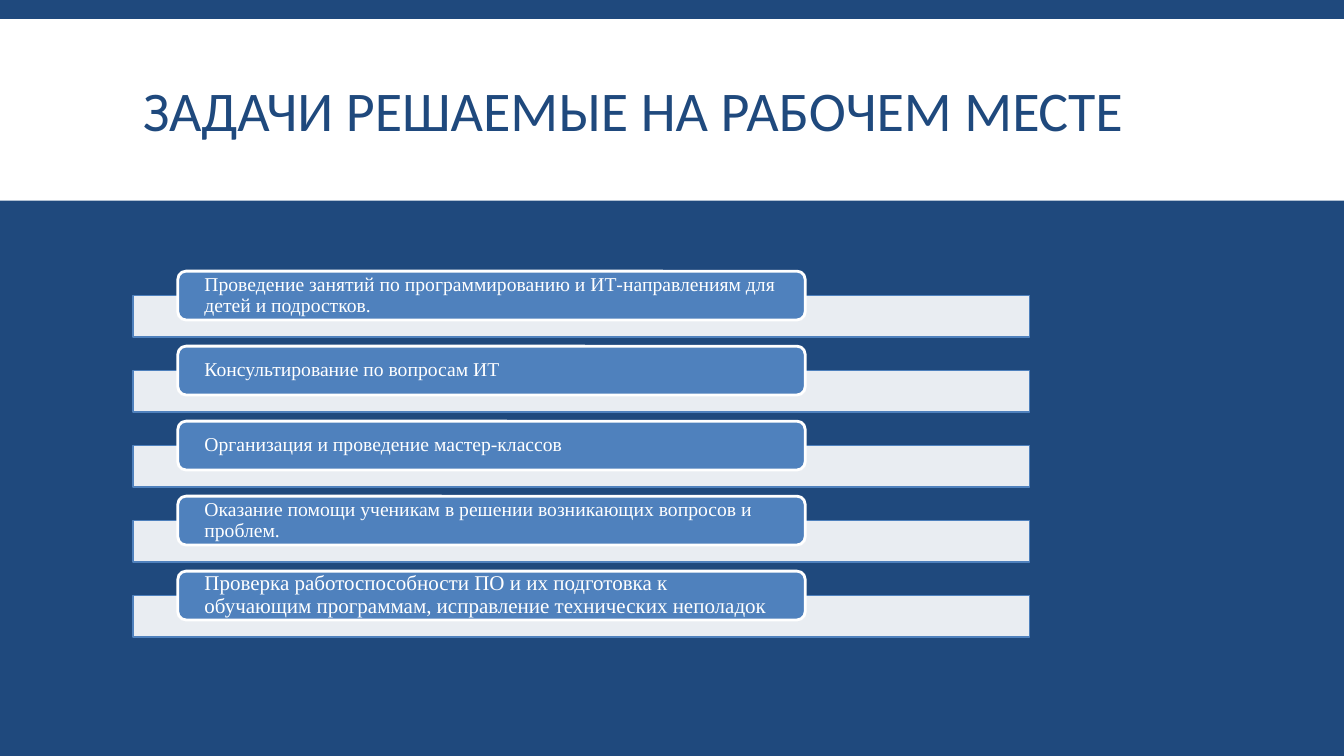
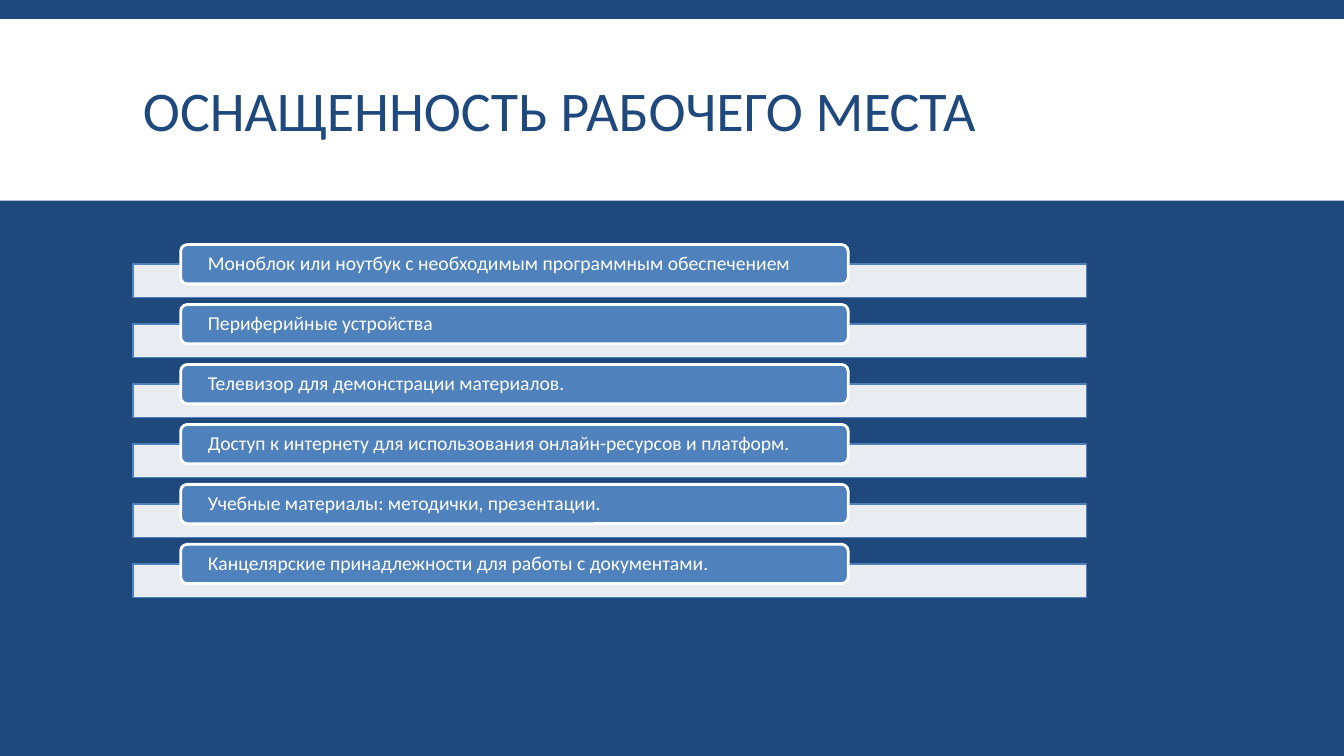
from dataclasses import dataclass

import lxml.etree
import pptx
import pptx.dml.color
import pptx.enum.shapes
import pptx.enum.text
import pptx.oxml.ns
import pptx.presentation
import pptx.shapes.autoshape
import pptx.slide
import pptx.util

SLIDE_WIDTH = pptx.util.Inches(13.33)
SLIDE_HEIGHT = pptx.util.Inches(7.5)
COLORS = {"navy": "1F497D", "blue": "4F81BD", "white": "FFFFFF"}
TITLE_FONT = "Calibri"

# Proportions of a row: the label against its bar, the bar against its label
LABEL_INDENT = 0.05
LABEL_WIDTH = 0.7
BAR_DROP = 0.5
BAR_HEIGHT = 0.85


@dataclass(frozen=True)
class Box:
    """Place and size in percent of the slide's width and height."""
    left: float
    top: float
    width: float
    height: float

    def emu(self) -> tuple[int, int, int, int]:
        return (round(self.left * SLIDE_WIDTH / 100), round(self.top * SLIDE_HEIGHT / 100),
                round(self.width * SLIDE_WIDTH / 100), round(self.height * SLIDE_HEIGHT / 100))


@dataclass(frozen=True)
class Row:
    text: str
    size: float = 14


@dataclass(frozen=True)
class ListSlide:
    """A title and its rows; first is the box of the first row's bar and label height."""
    title: str
    font: str
    inset: float
    first: Box
    pitch: float
    rows: tuple[Row, ...]


TITLE_BAND = Box(0, 2.55, 100, 24)
TITLE_BOX = Box(9.9, 4.15, 80.25, 22)

SLIDES = (
    ListSlide(
        "ЗАДАЧИ РЕШАЕМЫЕ НА РАБОЧЕМ МЕСТЕ", "Times New Roman", 0.24,
        Box(9.9, 35.87, 66.68, 6.45), 9.92,
        (
            Row("Проведение занятий по программированию и ИТ-направлениям для детей и подростков."),
            Row("Консультирование по вопросам ИТ"),
            Row("Организация и проведение мастер-классов"),
            Row("Оказание помощи ученикам в решении возникающих вопросов и проблем."),
            Row("Проверка работоспособности ПО и их подготовка к обучающим программам, "
                "исправление технических неполадок", 15),
        )),
    ListSlide(
        "ОСНАЩЕННОСТЬ РАБОЧЕГО МЕСТА", "Calibri", 0.25,
        Box(9.9, 32.35, 70.95, 5.2), 7.93,
        (
            Row("Моноблок или ноутбук с необходимым программным обеспечением"),
            Row("Периферийные устройства"),
            Row("Телевизор для демонстрации материалов."),
            Row("Доступ к интернету для использования онлайн-ресурсов и платформ."),
            Row("Учебные материалы: методички, презентации."),
            Row("Канцелярские принадлежности для работы с документами."),
        )),
)


def rgb(name: str) -> pptx.dml.color.RGBColor:
    return pptx.dml.color.RGBColor.from_string(COLORS[name])


def add_block(slide: pptx.slide.Slide, kind: pptx.enum.shapes.MSO_SHAPE, box: Box, fill: str,
              line: str | None = None, line_width: float = 1) -> pptx.shapes.autoshape.Shape:
    block = slide.shapes.add_shape(kind, *box.emu())
    block.shadow.inherit = False
    block.fill.solid()
    block.fill.fore_color.rgb = rgb(fill)
    if line is None:
        block.line.fill.background()
    else:
        block.line.color.rgb = rgb(line)
        block.line.width = pptx.util.Pt(line_width)
    return block


def set_opacity(block: pptx.shapes.autoshape.Shape, percent: int) -> None:
    qn = pptx.oxml.ns.qn
    color = block.fill._xPr.find(qn("a:solidFill")).find(qn("a:srgbClr"))
    lxml.etree.SubElement(color, qn("a:alpha")).set("val", str(percent * 1000))


def write(holder: pptx.shapes.autoshape.Shape, text: str, font: str, size: float,
          color: str, spacing: float) -> None:
    frame = holder.text_frame
    frame.word_wrap = True
    frame.vertical_anchor = pptx.enum.text.MSO_ANCHOR.MIDDLE
    paragraph = frame.paragraphs[0]
    paragraph.text = text
    paragraph.alignment = pptx.enum.text.PP_ALIGN.LEFT
    paragraph.line_spacing = spacing
    paragraph.font.name = font
    paragraph.font.size = pptx.util.Pt(size)
    paragraph.font.color.rgb = rgb(color)


def add_title(slide: pptx.slide.Slide, title: str) -> None:
    add_block(slide, pptx.enum.shapes.MSO_SHAPE.RECTANGLE, TITLE_BAND, "white")
    heading = slide.shapes.add_textbox(*TITLE_BOX.emu())
    write(heading, title, TITLE_FONT, 40, "navy", 0.85)


def add_row(slide: pptx.slide.Slide, content: ListSlide, index: int) -> None:
    """Draw a pale bar with a rounded label over its upper edge."""
    row, first = content.rows[index], content.first
    top = first.top + index * content.pitch
    bar = add_block(
        slide, pptx.enum.shapes.MSO_SHAPE.RECTANGLE,
        Box(first.left, top + BAR_DROP * first.height, first.width, BAR_HEIGHT * first.height),
        "white", "blue", 1)
    set_opacity(bar, 90)
    label = add_block(
        slide, pptx.enum.shapes.MSO_SHAPE.ROUNDED_RECTANGLE,
        Box(first.left + LABEL_INDENT * first.width, top, LABEL_WIDTH * first.width, first.height),
        "blue", "white", 2)
    frame = label.text_frame
    frame.margin_left = frame.margin_right = pptx.util.Inches(content.inset)
    frame.margin_top = frame.margin_bottom = 0
    write(label, row.text, content.font, row.size, "white", 0.9)


def add_list_slide(deck: pptx.presentation.Presentation, content: ListSlide) -> None:
    slide = deck.slides.add_slide(deck.slide_layouts[6])
    add_title(slide, content.title)
    for index in range(len(content.rows)):
        add_row(slide, content, index)


def main() -> None:
    deck = pptx.Presentation()
    deck.slide_width, deck.slide_height = SLIDE_WIDTH, SLIDE_HEIGHT
    backdrop = deck.slide_master.background.fill
    backdrop.solid()
    backdrop.fore_color.rgb = rgb("navy")
    for content in SLIDES:
        add_list_slide(deck, content)
    deck.save("out.pptx")


if __name__ == "__main__":
    main()
